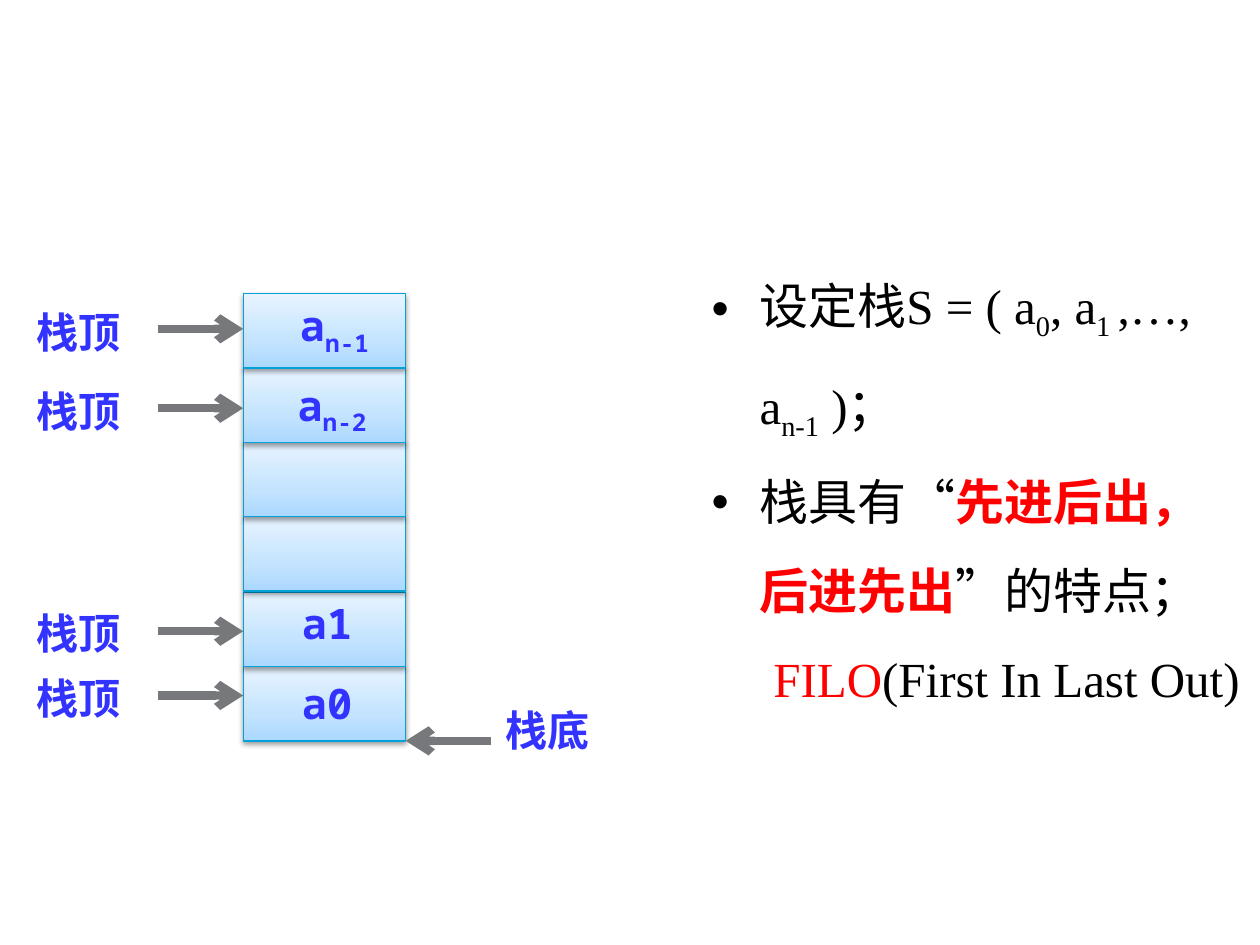
from typing import NamedTuple

from lxml import etree
from pptx import Presentation
from pptx.dml.color import RGBColor
from pptx.enum import shapes, text
from pptx.oxml import parse_xml
from pptx.oxml.ns import nsdecls, qn
from pptx.util import Inches, Pt

PX = Inches(1) // 100  # 100 px to the inch

BLUE, RED, BLACK, GREY, EDGE = "3333FF", "FF0000", "000000", "76787B", "03A0D9"
LABEL_FONT, BODY_FONT = "Noto Sans Mono", "Times New Roman"
CELL_STOPS = [(0, "ABD8FF"), (35, "C3E3FF"), (100, "E8F4FF")]
STACK_LEFT, STACK_TOP, STACK_BOTTOM = 193, 233, 588
CELL_WIDTH, CELL_HEIGHT, CELL_COUNT = 129, 59, 6
HANG = 38


class Span(NamedTuple):
    words: str
    color: str = BLACK
    bold: bool = False
    sub: bool = False


class Label(NamedTuple):
    left: int
    top: int
    width: int
    words: str
    sub: str = ""


class Arrow(NamedTuple):
    start: int
    end: int
    y: int


class Line(NamedTuple):
    spans: list[Span]
    margin: int = HANG
    bullet: bool = True


def rgb(color: str) -> RGBColor:
    return RGBColor.from_string(color)


def add_spans(para, spans: list[Span], size: int, font: str) -> None:
    for item in spans:
        span = para.add_run()
        span.text = item.words
        span.font.size, span.font.name, span.font.bold = Pt(size), font, item.bold
        span.font.color.rgb = rgb(item.color)
        if item.sub:
            span.font._element.set("baseline", "-25000")


def add_cell(page, top: int) -> None:
    box = page.shapes.add_shape(shapes.MSO_SHAPE.RECTANGLE, STACK_LEFT * PX, top * PX,
                                CELL_WIDTH * PX, CELL_HEIGHT * PX)
    box.line.color.rgb, box.line.width = rgb(EDGE), Pt(0.75)
    stops = "".join(f'<a:gs pos="{at * 1000}"><a:srgbClr val="{color}"/></a:gs>'
                    for at, color in CELL_STOPS)
    box._element.spPr.find(qn("a:prstGeom")).addnext(parse_xml(
        f'<a:gradFill {nsdecls("a")} rotWithShape="1"><a:gsLst>{stops}</a:gsLst>'
        '<a:lin ang="16200000" scaled="0"/></a:gradFill>'))
    box._element.spPr.append(parse_xml(
        f'<a:effectLst {nsdecls("a")}><a:outerShdw blurRad="{Pt(3.1)}" dist="{Pt(1.6)}" '
        'dir="5400000" rotWithShape="0"><a:srgbClr val="000000"><a:alpha val="38000"/>'
        '</a:srgbClr></a:outerShdw></a:effectLst>'))


def add_label(page, label: Label) -> None:
    box = page.shapes.add_textbox(label.left * PX, label.top * PX, label.width * PX, 50 * PX)
    box.text_frame.word_wrap = False
    para = box.text_frame.paragraphs[0]
    para.alignment = text.PP_ALIGN.CENTER
    spans = [Span(label.words, BLUE, True)]
    if label.sub:
        spans.append(Span(label.sub, BLUE, True, True))
    add_spans(para, spans, 24, LABEL_FONT)


def add_arrow(page, arrow: Arrow) -> None:
    line = page.shapes.add_connector(shapes.MSO_CONNECTOR.STRAIGHT, arrow.start * PX,
                                     arrow.y * PX, arrow.end * PX, arrow.y * PX)
    line.line.color.rgb, line.line.width = rgb(GREY), Pt(4.75)
    etree.SubElement(line.line._get_or_add_ln(), qn("a:tailEnd"), type="arrow")
    etree.SubElement(line._element.spPr, qn("a:effectLst"))


def add_body(page, lines: list[Line]) -> None:
    box = page.shapes.add_textbox(555 * PX, 187 * PX, 445 * PX, 424 * PX)
    frame = box.text_frame
    frame.word_wrap = True
    for number, line in enumerate(lines):
        para = frame.add_paragraph() if number else frame.paragraphs[0]
        para.line_spacing = 1.5
        props = para._p.get_or_add_pPr()
        props.set("marL", str(line.margin * PX))
        props.set("indent", str(-HANG * PX if line.bullet else 0))
        if line.bullet:
            etree.SubElement(props, qn("a:buFont"), typeface="Arial")
            etree.SubElement(props, qn("a:buChar"), char="•")
        else:
            etree.SubElement(props, qn("a:buNone"))
        add_spans(para, line.spans, 28, BODY_FONT)


BODY = [
    Line([Span("设定栈S = ( a"), Span("0", sub=True), Span(", a"), Span("1 ", sub=True),
          Span(",…, a"), Span("n-1", sub=True), Span(" )；")]),
    Line([Span("栈具有“"), Span("先进后出，后进先出", RED, True), Span("”的特点；")]),
    Line([Span("FILO", RED), Span("(First In Last Out)")], margin=49, bullet=False),
]
ELEMENTS = [Label(217, 233, 97, "a", "n-1"), Label(224, 296, 79, "a", "n-2"),
            Label(224, 469, 71, "a1"), Label(224, 533, 71, "a0")]
TOP_MARKS = [(238, 261), (301, 324), (477, 501), (529, 552)]  # label top, arrow y


def main() -> None:
    deck = Presentation()
    deck.slide_width, deck.slide_height = 1000 * PX, 750 * PX
    page = deck.slides.add_slide(deck.slide_layouts[6])

    # Explanation on the right
    add_body(page, BODY)

    # Stack, bottom cell first so each shadow falls on the cell below
    pitch = (STACK_BOTTOM - STACK_TOP) / CELL_COUNT
    for row in reversed(range(CELL_COUNT)):
        add_cell(page, round(STACK_TOP + row * pitch))
    for element in ELEMENTS:
        add_label(page, element)

    # Pointers to the stack top and bottom
    for label_top, arrow_y in TOP_MARKS:
        add_label(page, Label(12, label_top, 101, "栈顶"))
        add_arrow(page, Arrow(125, STACK_LEFT, arrow_y))
    add_label(page, Label(384, 554, 101, "栈底"))
    add_arrow(page, Arrow(390, STACK_LEFT + CELL_WIDTH, STACK_BOTTOM))

    deck.save("out.pptx")


if __name__ == "__main__":
    main()
